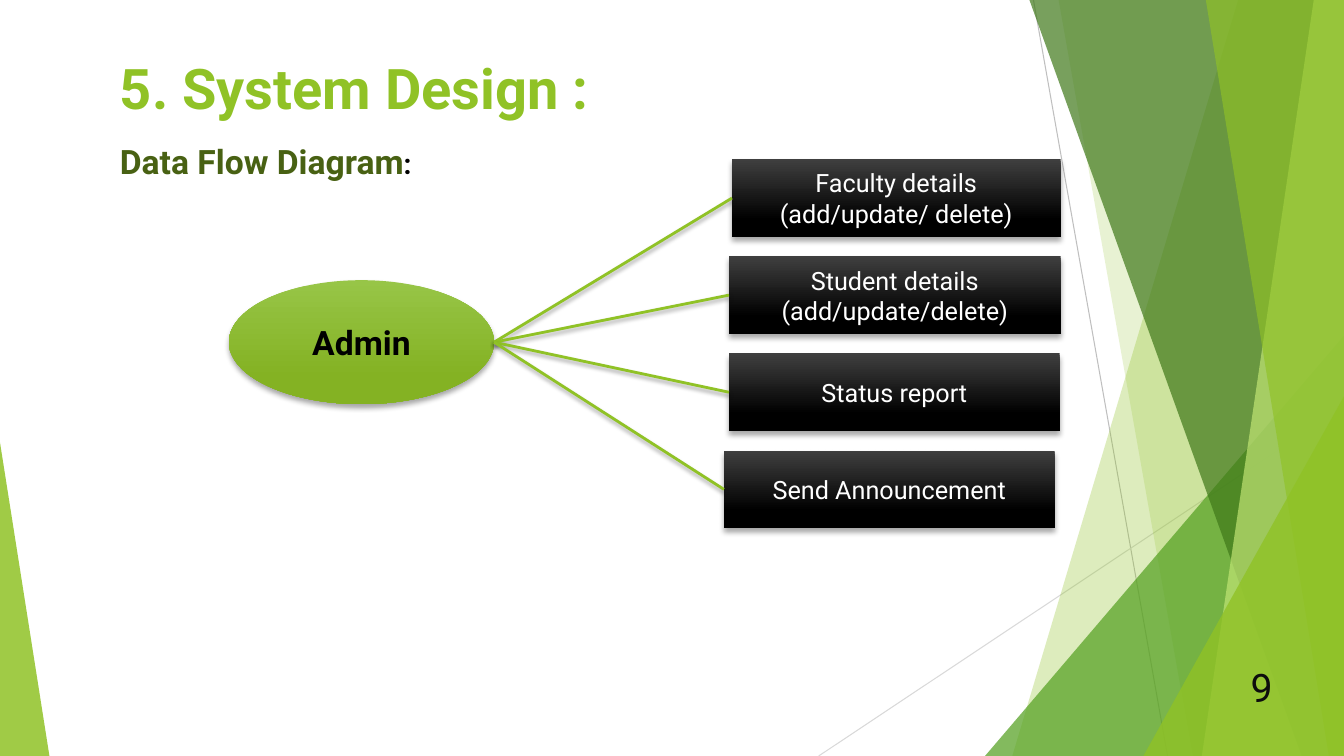
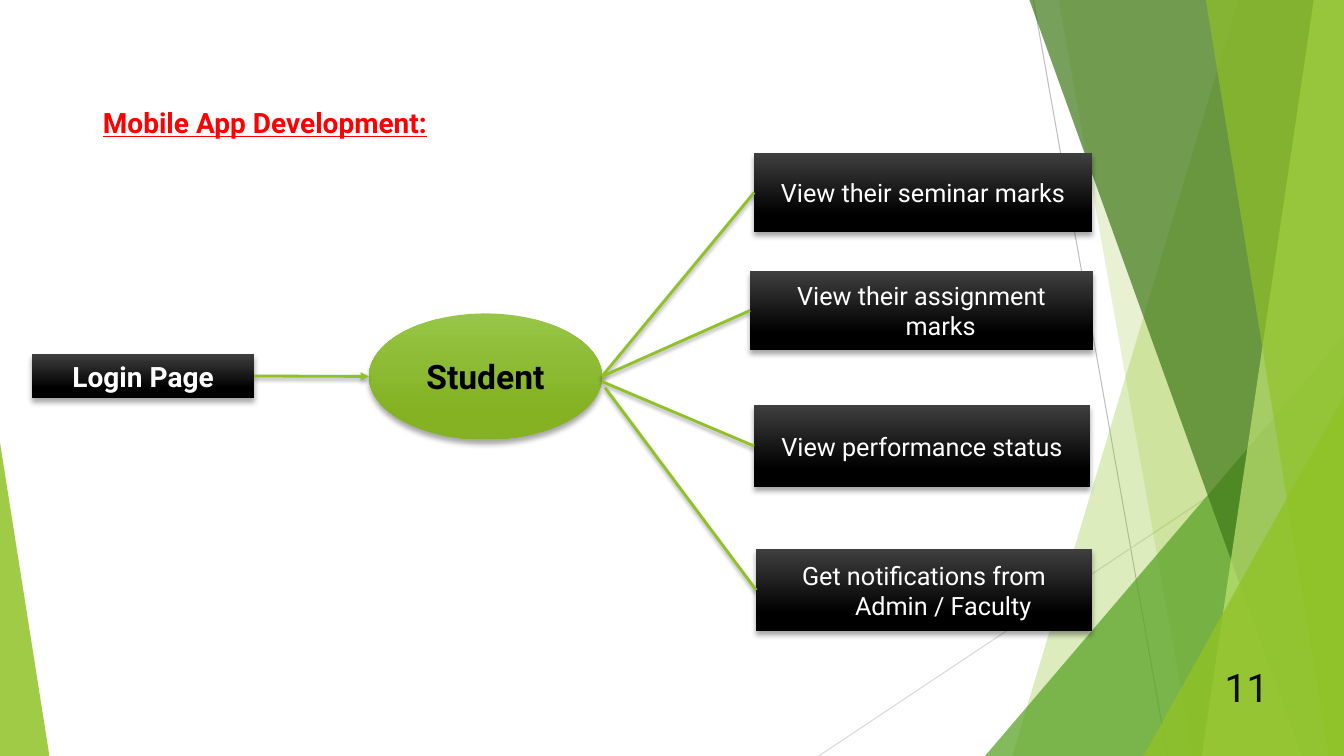
from dataclasses import dataclass

import lxml.etree
import pptx
import pptx.dml.color
import pptx.enum.shapes
import pptx.enum.text
import pptx.oxml.ns
import pptx.util

Inches = pptx.util.Inches
Pt = pptx.util.Pt
Preset = pptx.enum.shapes.MSO_SHAPE
Align = pptx.enum.text.PP_ALIGN
Anchor = pptx.enum.text.MSO_ANCHOR


@dataclass(frozen=True)
class Theme:
    font: str = "Roboto"
    accent: str = "90C226"
    leaf: str = "54A021"
    forest: str = "3F7819"
    lime: str = "C0E474"
    subtitle: str = "486113"
    black: str = "000000"
    white: str = "FFFFFF"
    red: str = "FF0000"
    number: str = "0D0D0D"
    line_dark: str = "BFBFBF"
    line_light: str = "D9D9D9"
    hub_fill: tuple = ("97C547", "84B223")
    box_fill: tuple = ("3F3F3F", "000000")
    title_size: int = 40
    number_size: int = 28
    heading_size: int = 24
    label_size: int = 20
    body_size: int = 18


@dataclass(frozen=True)
class Box:
    left: float
    top: float
    width: float
    height: float

    def inside(self, left, top, width, height):
        return Box(self.left + left, self.top + top, width, height)

    @property
    def right(self):
        return self.left + self.width

    @property
    def middle(self):
        return self.top + self.height / 2

    @property
    def lengths(self):
        return [Inches(value) for value in (self.left, self.top, self.width, self.height)]


THEME = Theme()
PAGE = Box(0, 0, 13.33, 7.5)


# Formatting helpers
def color_of(code):
    return pptx.dml.color.RGBColor.from_string(code)


def add_xml(parent, tag, **attributes):
    child = lxml.etree.SubElement(parent, pptx.oxml.ns.qn(tag))
    for name, value in attributes.items():
        child.set(name, str(value))
    return child


def set_shadow(shape, blur=0, distance=0):
    """Write the effect list last; without a blur it stays empty."""
    effects = add_xml(shape.element.spPr, "a:effectLst")
    if blur:
        outer = add_xml(effects, "a:outerShdw", blurRad=Pt(blur), dist=Pt(distance),
                        dir=5400000, algn="ctr", rotWithShape=0)
        color = add_xml(outer, "a:srgbClr", val=THEME.black)
        add_xml(color, "a:alpha", val=35000)


def add_run(paragraph, text, size, color, bold=False, underline=False):
    run = paragraph.add_run()
    run.text = text
    run.font.name = THEME.font
    run.font.size = Pt(size)
    run.font.color.rgb = color_of(color)
    run.font.bold = bold
    run.font.underline = underline


def write_text(frame, text, align=Align.LEFT, anchor=Anchor.TOP, hanging=0, **font):
    frame.word_wrap = True
    frame.auto_size = pptx.enum.text.MSO_AUTO_SIZE.NONE
    frame.vertical_anchor = anchor
    for index, line in enumerate(text.split("\n")):
        paragraph = frame.add_paragraph() if index else frame.paragraphs[0]
        paragraph.alignment = align
        if hanging:
            properties = paragraph._p.get_or_add_pPr()
            properties.set("marL", str(Inches(hanging)))
            properties.set("indent", str(-Inches(hanging)))
        add_run(paragraph, line, **font)
    return frame.paragraphs[-1]


def add_text(slide, box, text, **text_format):
    shape = slide.shapes.add_textbox(*box.lengths)
    return write_text(shape.text_frame, text, **text_format)


def add_line(slide, start, end, color, width):
    points = [Inches(value) for value in (*start, *end)]
    connector = slide.shapes.add_connector(pptx.enum.shapes.MSO_CONNECTOR.STRAIGHT, *points)
    connector.line.color.rgb = color_of(color)
    connector.line.width = Pt(width)
    return connector


# Backdrop shared through the layout
def fill_translucent(shape, color, opacity):
    shape.fill.solid()
    shape.fill.fore_color.rgb = color_of(color)
    shape.line.fill.background()
    shape.shadow.inherit = False
    solid = shape.element.spPr.find(pptx.oxml.ns.qn("a:solidFill"))
    add_xml(solid[0], "a:alpha", val=opacity * 1000)


def add_blade(slide, page, top_left, bottom_left, color, opacity):
    """Full-height blade that ends at the right edge of the page."""
    corners = [(top_left, page.top), (page.right, page.top),
               (page.right, page.height), (bottom_left, page.height)]
    points = [(Inches(x), Inches(y)) for x, y in corners]
    builder = slide.shapes.build_freeform(*points[0], scale=1.0)
    builder.add_line_segments(points[1:], close=True)
    fill_translucent(builder.convert_to_shape(), color, opacity)


def add_corner(slide, page, width, height, color, opacity, at_right=True):
    """Triangle standing in a bottom corner of the page."""
    left = page.width - width if at_right else 0
    box = page.inside(left, page.height - height, width, height)
    shape = slide.shapes.add_shape(Preset.ISOSCELES_TRIANGLE, *box.lengths)
    shape.adjustments[0] = 1.0 if at_right else 0.0
    fill_translucent(shape, color, opacity)


def draw_backdrop(slide, page):
    for start, end, color in [
        ((10.25, page.top), (11.58, page.height), THEME.line_dark),
        ((page.right, 4.03), (8.12, page.height), THEME.line_light),
    ]:
        set_shadow(add_line(slide, start, end, color, 0.75))
    add_blade(slide, page, 12.28, 10.04, THEME.accent, 30)
    add_blade(slide, page, 10.5, 11.83, THEME.accent, 20)
    add_corner(slide, page, 3.56, 4.17, THEME.leaf, 72)
    add_blade(slide, page, 10.21, 12.91, THEME.forest, 70)
    add_blade(slide, page, 13.03, 11.92, THEME.lime, 70)
    add_blade(slide, page, 11.96, 13.18, THEME.accent, 65)
    add_corner(slide, page, 1.99, 3.57, THEME.accent, 80)
    add_corner(slide, page, 0.49, 3.11, THEME.accent, 85, at_right=False)


def move_to_layout(slide):
    """Hand the drawn backdrop to the layout, behind its placeholders."""
    drawn = [shape for shape in slide.shapes if not shape.is_placeholder]
    tree = slide.slide_layout.shapes.element
    for index, shape in enumerate(drawn):
        shape.element.xpath(".//p:cNvPr")[0].set("id", str(100 + index))
        tree.insert(2 + index, shape.element)


# Parts of every slide
def set_title(slide, box, text, **font):
    title = slide.shapes.title
    title.left, title.top, title.width, title.height = box.lengths
    write_text(title.text_frame, text, **font)


def add_number(slide, box, text):
    add_text(slide, box, text, align=Align.RIGHT, anchor=Anchor.MIDDLE,
             size=THEME.number_size, color=THEME.number)


# Parts of the diagrams
def add_node(slide, box, text, preset=Preset.RECTANGLE, colors=THEME.box_fill,
             **text_format):
    shape = slide.shapes.add_shape(preset, *box.lengths)
    shape.fill.gradient()
    shape.fill.gradient_angle = 270
    for stop, color, position in zip(shape.fill.gradient_stops, colors, (0, 0.78)):
        stop.color.rgb = color_of(color)
        stop.position = position
    shape.line.fill.background()
    set_shadow(shape, blur=4, distance=3)
    write_text(shape.text_frame, text, align=Align.CENTER, anchor=Anchor.MIDDLE,
               **text_format)
    return shape


def add_link(slide, start, target, arrow=False):
    """Line from a point to the left side of the target node."""
    connector = add_line(slide, start, start, THEME.accent, 2)
    connector.end_connect(target, 1)
    if arrow:
        add_xml(connector.line._get_or_add_ln(), "a:tailEnd", type="triangle")
    set_shadow(connector, blur=3, distance=2)


def draw_fan(slide, area, hub_place, hub_text, branches):
    """Hub and its branches; each branch is (place, text, start offset)."""
    hub_box = area.inside(*hub_place)
    hub = add_node(slide, hub_box, hub_text, preset=Preset.OVAL, colors=THEME.hub_fill,
                   size=THEME.heading_size, color=THEME.black, bold=True)
    nodes = [add_node(slide, area.inside(*place), text, hanging=0.38,
                      size=THEME.body_size, color=THEME.white)
             for place, text, _ in branches]
    for node, (_, _, (shift_x, shift_y)) in zip(nodes, branches):
        add_link(slide, (hub_box.right + shift_x, hub_box.middle + shift_y), node)
    return hub


# Slides
def build_admin_slide(slide, page):
    set_title(slide, page.inside(1.09, 0.48, 5.01, 0.77), "5. System Design :",
              size=THEME.title_size, color=THEME.accent, bold=True)
    heading = add_text(slide, page.inside(1.09, 1.35, 3.62, 0.5), "Data Flow Diagram",
                       size=THEME.heading_size, color=THEME.subtitle, bold=True)
    add_run(heading, ":", THEME.label_size, THEME.black, bold=True)

    area = page.inside(2.27, 1.58, 8.25, 3.66)
    rows = [
        (4.99, 3.26, "Faculty details\n(add/update/ delete)"),
        (4.96, 3.29, "Student details\n(add/update/delete)"),
        (4.96, 3.28, "Status report"),
        (4.91, 3.28, "Send Announcement"),
    ]
    height = 0.77
    pitch = (area.height - height) / (len(rows) - 1)
    branches = [((left, index * pitch, width, height), text, (0, 0))
                for index, (left, width, text) in enumerate(rows)]
    draw_fan(slide, area, (0, 1.2, 2.63, 1.23), "Admin", branches)
    add_number(slide, page.inside(9.39, 6.61, 3.33, 0.4), "9")


def build_student_slide(slide, page):
    set_title(slide, page.inside(0.92, 1, 3.85, 0.44), "Mobile App Development:",
              size=THEME.label_size, color=THEME.red, bold=True, underline=True)

    area = page.inside(0.32, 1.52, 10.52, 4.74)
    branches = [
        ((7.16, 0, 3.35, 0.78), "View their seminar marks", (0, 0)),
        ((7.12, 1.17, 3.4, 0.78), "View their assignment marks", (0, 0)),
        ((7.16, 2.5, 3.33, 0.81), "View performance status", (0, 0.05)),
        ((7.18, 3.93, 3.33, 0.81), "Get notifications from Admin / Faculty", (0.03, 0.11)),
    ]
    hub = draw_fan(slide, area, (3.34, 1.59, 2.31, 1.25), "Student", branches)
    login_box = area.inside(0, 1.99, 2.2, 0.44)
    add_node(slide, login_box, "Login Page",
             size=THEME.label_size, color=THEME.white, bold=True)
    add_link(slide, (login_box.right, login_box.middle), hub, arrow=True)
    add_number(slide, page.inside(9.39, 6.61, 3.29, 0.4), "11")


def main():
    presentation = pptx.Presentation()
    presentation.slide_width = Inches(PAGE.width)
    presentation.slide_height = Inches(PAGE.height)
    layout = presentation.slide_layouts.get_by_name("Title Only")
    for index, build in enumerate((build_admin_slide, build_student_slide)):
        slide = presentation.slides.add_slide(layout)
        if index == 0:
            draw_backdrop(slide, PAGE)
            move_to_layout(slide)
        build(slide, PAGE)
    presentation.save("out.pptx")


if __name__ == "__main__":
    main()
